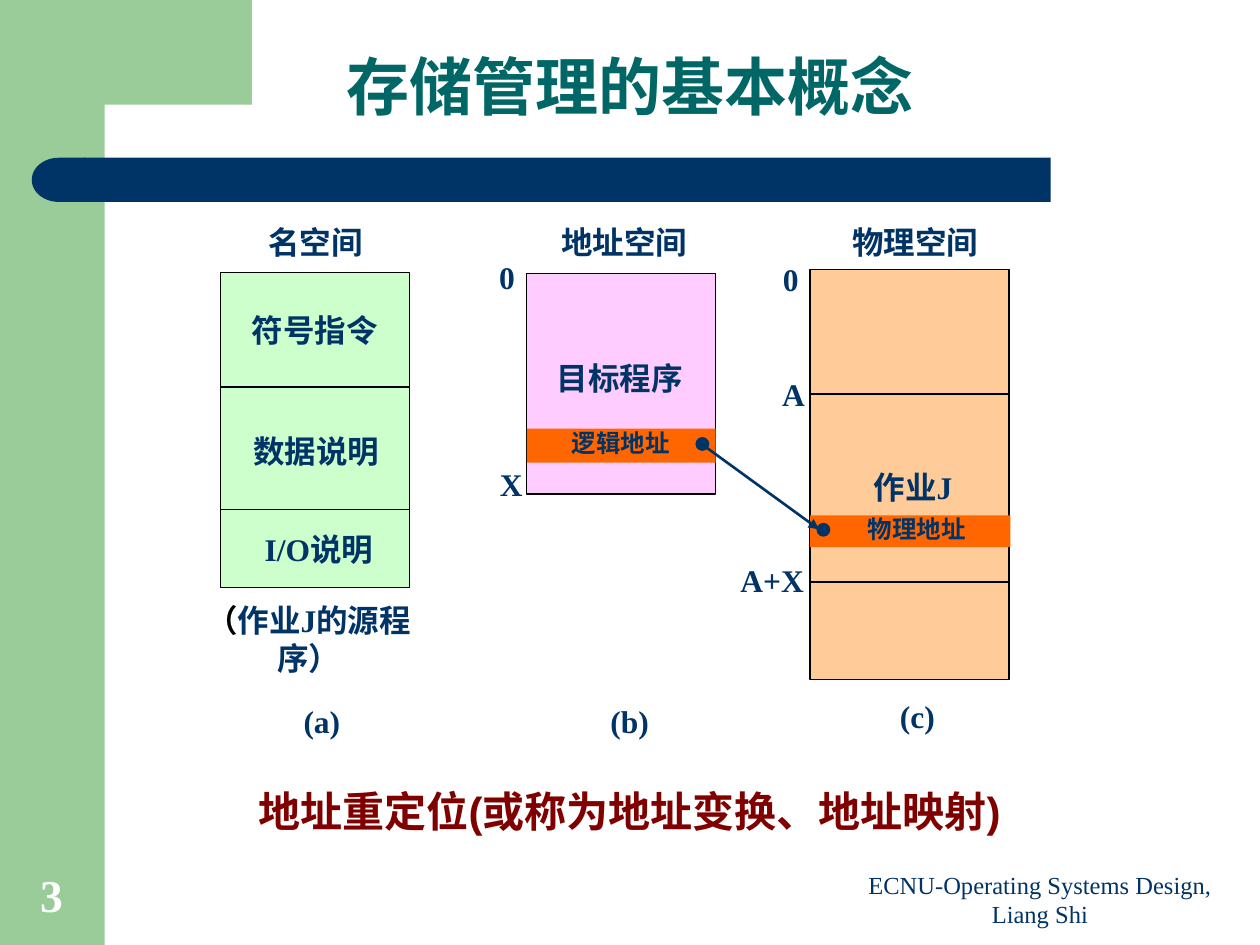
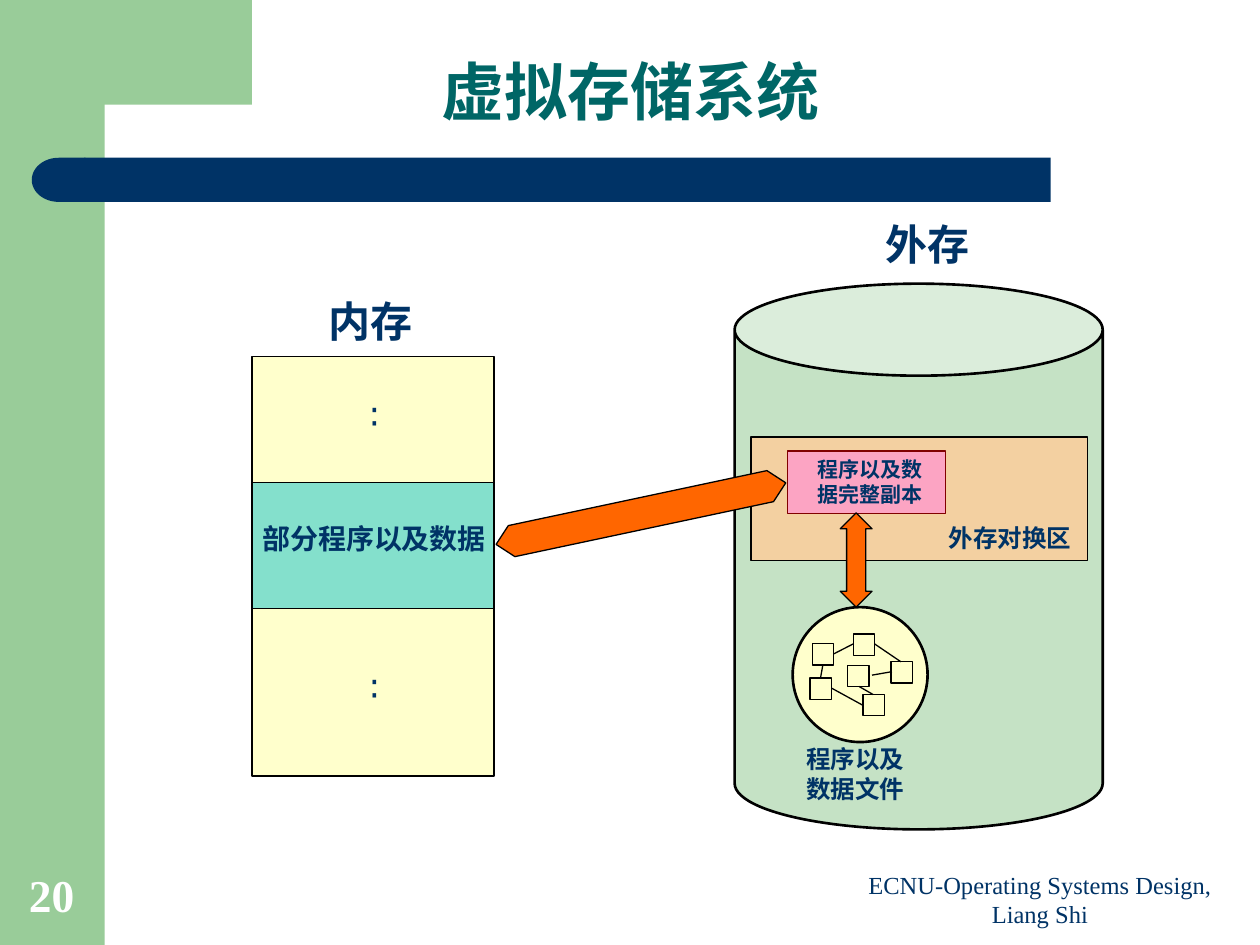
from lxml import etree
from pptx import Presentation
from pptx import util as u
from pptx.dml import color
from pptx.enum import shapes, text
from pptx.oxml import ns

NAVY, TEAL, GREEN, ORANGE = "003366", "006666", "99CC99", "FF6600"
BLACK, WHITE, MAROON, CREAM = "000000", "FFFFFF", "800000", "FFFFCC"
SERIF, SANS, HAN = "Times New Roman", "Arial", "Noto Sans CJK SC"
KIND = shapes.MSO_SHAPE


def rgb(value):
    return color.RGBColor.from_string(value)


def lengths(values):
    return [u.Cm(value) for value in values]


def sub(parent, tag, **attributes):
    return etree.SubElement(parent, ns.qn(tag), attributes)


class Deck:
    title_format = dict(size=36, latin=HAN, hue=TEAL)
    label_format = dict(size=18, latin=SERIF, hue=NAVY, bold=True)
    frame_format = dict(word_wrap=True, auto_size=text.MSO_AUTO_SIZE.NONE,
                        vertical_anchor=text.MSO_ANCHOR.BOTTOM)

    def __init__(self):
        self.prs = Presentation()
        self.prs.slide_width, self.prs.slide_height = lengths((25.4, 19.05))
        self.slide = None

    # Text
    def add_words(self, paragraph, words, size, latin, hue, bold=True):
        run = paragraph.add_run()
        run.text = words
        values = dict(size=u.Pt(size), bold=bold, name=latin)
        for name, value in values.items():
            setattr(run.font, name, value)
        run.font.color.rgb = rgb(hue)
        sub(run.font._element, "a:ea", typeface=HAN)

    def label(self, box, *pieces, wrap=False, low=False, **changes):
        """Centred text; a piece is a string or a (string, colour) pair."""
        frame = self.slide.shapes.add_textbox(*lengths(box)).text_frame
        frame.word_wrap = wrap
        if low:
            frame.vertical_anchor = text.MSO_ANCHOR.BOTTOM
        paragraph = frame.paragraphs[0]
        paragraph.alignment = text.PP_ALIGN.CENTER
        style = {**self.label_format, **changes}
        for piece in pieces:
            words, hue = (piece, style["hue"]) if isinstance(piece, str) else piece
            self.add_words(paragraph, words, **{**style, "hue": hue})

    # Shapes and lines
    def paint(self, shape, fill, line=None, width=0.75, alpha=None):
        shape.shadow.inherit = False
        if fill:
            shape.fill.solid()
            shape.fill.fore_color.rgb = rgb(fill)
        else:
            shape.fill.background()
        if alpha:
            solid = shape._element.spPr.find(ns.qn("a:solidFill"))
            sub(solid[0], "a:alpha", val=str(alpha * 1000))
        if line:
            shape.line.color.rgb = rgb(line)
            shape.line.width = u.Pt(width)
        else:
            shape.line.fill.background()

    def shape(self, box, fill, line=None, kind=KIND.RECTANGLE, turn=0,
              adjust=(), **paint):
        item = self.slide.shapes.add_shape(kind, *lengths(box))
        item.rotation = turn
        for index, value in enumerate(adjust):
            item.adjustments[index] = value
        self.paint(item, fill, line, **paint)

    def line(self, *ends, hue=BLACK, width=0.75, arrow=False):
        item = self.slide.shapes.add_connector(
            shapes.MSO_CONNECTOR.STRAIGHT, *lengths(ends))
        item.line.color.rgb = rgb(hue)
        item.line.width = u.Pt(width)
        if arrow:
            outline = item._element.spPr.find(ns.qn("a:ln"))
            sub(outline, "a:tailEnd", type="triangle")
        sub(item._element.spPr, "a:effectLst")

    # Parts shared by all slides
    def corner(self):
        start, *rest = [lengths(point) for point in (
            (5.08, 0), (5.08, 2.11), (2.06, 2.11), (1.96, 2.16), (1.8, 2.34),
            (1.73, 2.64), (1.7, 2.95), (1.7, 3.25), (1.27, 3.25), (1.27, 0))]
        outline = self.slide.shapes.build_freeform(*start)
        outline.add_line_segments(rest)
        self.paint(outline.convert_to_shape(), GREEN)

    def new_slide(self, title, number, title_top):
        self.slide = self.prs.slides.add_slide(self.prs.slide_layouts[5])
        self.shape((0, 0, 2.11, 19.05), GREEN)
        self.corner()
        self.shape((1.7, 3.18, 19.48, 0.89), NAVY)
        self.shape((0.64, 3.18, 1.08, 0.89), NAVY,
                   kind=KIND.FLOWCHART_DELAY, turn=180)

        heading = self.slide.shapes.title
        place = lengths((0, title_top, 25.4, 1.9))
        for name, value in zip(("left", "top", "width", "height"), place):
            setattr(heading, name, value)
        for name, value in self.frame_format.items():
            setattr(heading.text_frame, name, value)
        paragraph = heading.text_frame.paragraphs[0]
        paragraph.alignment = text.PP_ALIGN.CENTER
        paragraph.line_spacing = 0.9
        self.add_words(paragraph, title, **self.title_format)

        self.label((16.94, 17.53, 8.05, 1.32),
                   "ECNU-Operating Systems Design, Liang Shi",
                   wrap=True, low=True, size=14, bold=False)
        self.label((0, 17.35, 2.08, 1.35), str(number), low=True,
                   size=26, hue=WHITE)


def address_spaces(deck):
    deck.new_slide("存储管理的基本概念", 3, 0.74)

    # The three spaces and their dividers
    deck.shape((4.45, 5.49, 3.81, 6.35), "CCFFCC", BLACK)
    deck.shape((10.62, 5.51, 3.81, 4.45), "FFCCFF", BLACK)
    deck.shape((16.33, 5.44, 4.01, 8.26), "FFCC99", BLACK)
    for left, right, heights in ((4.45, 8.26, (7.8, 10.27)),
                                 (16.33, 20.33, (7.94, 11.73))):
        for y in heights:
            deck.line(left, y, right, y)

    # Headings, contents, boundary addresses and letters
    for left, top, width, words in (
            (5.11, 4.37, 2.51, "名空间"),
            (10.97, 4.37, 3.23, "地址空间"),
            (16.81, 4.37, 3.28, "物理空间"),
            (4.75, 6.15, 3.2, "符号指令"),
            (4.78, 8.59, 3.2, "数据说明"),
            (4.83, 10.57, 3.2, "I/O说明"),
            (10.59, 7.11, 3.81, "目标程序"),
            (16.87, 9.32, 3.07, "作业J"),
            (9.8, 5.08, 0.84, "0"),
            (9.83, 9.25, 0.84, "X"),
            (15.52, 5.11, 0.84, "0"),
            (15.52, 7.44, 0.84, "A"),
            (14.61, 11.18, 1.91, "A+X"),
            (5.87, 14.02, 1.24, "(a)"),
            (12.01, 14.02, 1.37, "(b)"),
            (17.81, 13.92, 1.37, "(c)")):
        deck.label((left, top, width, 1.02), words)
    deck.label((3.35, 11.99, 5.74, 1.78), ("（", BLACK), "作业J的源程序）",
               wrap=True)
    deck.label((4.62, 15.72, 16.15, 1.27),
               "地址重定位(或称为地址变换、地址映射)",
               size=24, latin=SANS, hue=MAROON)

    # Mapping from logical to physical address
    for band, label_left, label_top, words in (
            ((10.62, 8.64, 3.81, 0.69), 11.23, 8.51, "逻辑地址"),
            ((16.33, 10.39, 4.04, 0.64), 17.2, 10.24, "物理地址")):
        deck.shape(band, ORANGE)
        deck.label((label_left, label_top, 2.57, 0.86), words, size=14)
    for left, top in ((14.02, 8.81), (16.46, 10.54)):
        deck.shape((left, top, 0.28, 0.28), NAVY, kind=KIND.OVAL)
    deck.line(14.17, 8.97, 16.51, 10.67, hue=NAVY, width=1.5, arrow=True)


def virtual_memory(deck):
    deck.new_slide("虚拟存储系统", 20, 0.84)

    # External storage, main memory and swap area
    deck.shape((14.81, 5.72, 7.42, 11), GREEN, BLACK, kind=KIND.CAN,
               adjust=(0.25,), width=1.5, alpha=57)
    deck.shape((15.98, 12.24, 2.72, 2.72), CREAM, BLACK, kind=KIND.OVAL,
               width=1.5)
    deck.shape((5.08, 7.19, 4.88, 8.46), CREAM, BLACK, width=1)
    deck.shape((15.14, 8.81, 6.78, 2.49), "FFCC99", BLACK, alpha=80)

    # Linked blocks of the program file
    for link in ((17.63, 12.98, 18.16, 13.34), (16.81, 13.18, 17.2, 12.98),
                 (16.59, 13.39, 16.54, 13.67), (17.98, 13.54, 17.58, 13.61),
                 (17.32, 13.84, 17.6, 14), (17.4, 14.22, 16.76, 13.87)):
        deck.line(*link)
    for left, top in ((17.2, 12.78), (17.96, 13.34), (17.4, 14),
                      (16.33, 13.67), (16.38, 12.98), (17.09, 13.41)):
        deck.shape((left, top, 0.43, 0.43), None, BLACK)

    # Resident part, full copy and the transfers between them
    deck.shape((5.08, 9.73, 4.88, 2.54), "33CCCC", BLACK, alpha=60)
    deck.shape((15.88, 9.09, 3.18, 1.27), "FF99CC", MAROON, alpha=80)
    for box, head, turn in (((16.94, 10.34, 0.64, 1.9), 0.6, 0),
                            ((12.6, 7.37, 0.64, 5.97), 1.87, 78)):
        deck.shape(box, ORANGE, BLACK, kind=KIND.UP_DOWN_ARROW, turn=turn,
                   adjust=(0.5, head))

    # Labels
    for box, words, size in (
            ((5.94, 5.84, 3.05, 1.27), "内存", 24),
            ((17.17, 4.29, 3.05, 1.27), "外存", 24),
            ((18.85, 10.41, 3.02, 0.86), "外存对换区", 14),
            ((4.7, 10.39, 5.69, 0.94), "部分程序以及数据", 16)):
        deck.label(box, words, size=size)
    deck.label((15.85, 14.88, 2.79, 1.45), "程序以及数据文件", wrap=True, size=14)
    deck.label((16.1, 9.07, 2.87, 1.27), "程序以及数据完整副本", wrap=True, size=12)
    for top in (7.82, 13.31):
        deck.label((6, top, 3.1, 1.12), "∶", size=20, latin=SANS, bold=False)


def main():
    deck = Deck()
    address_spaces(deck)
    virtual_memory(deck)
    deck.prs.save("out.pptx")


if __name__ == "__main__":
    main()
